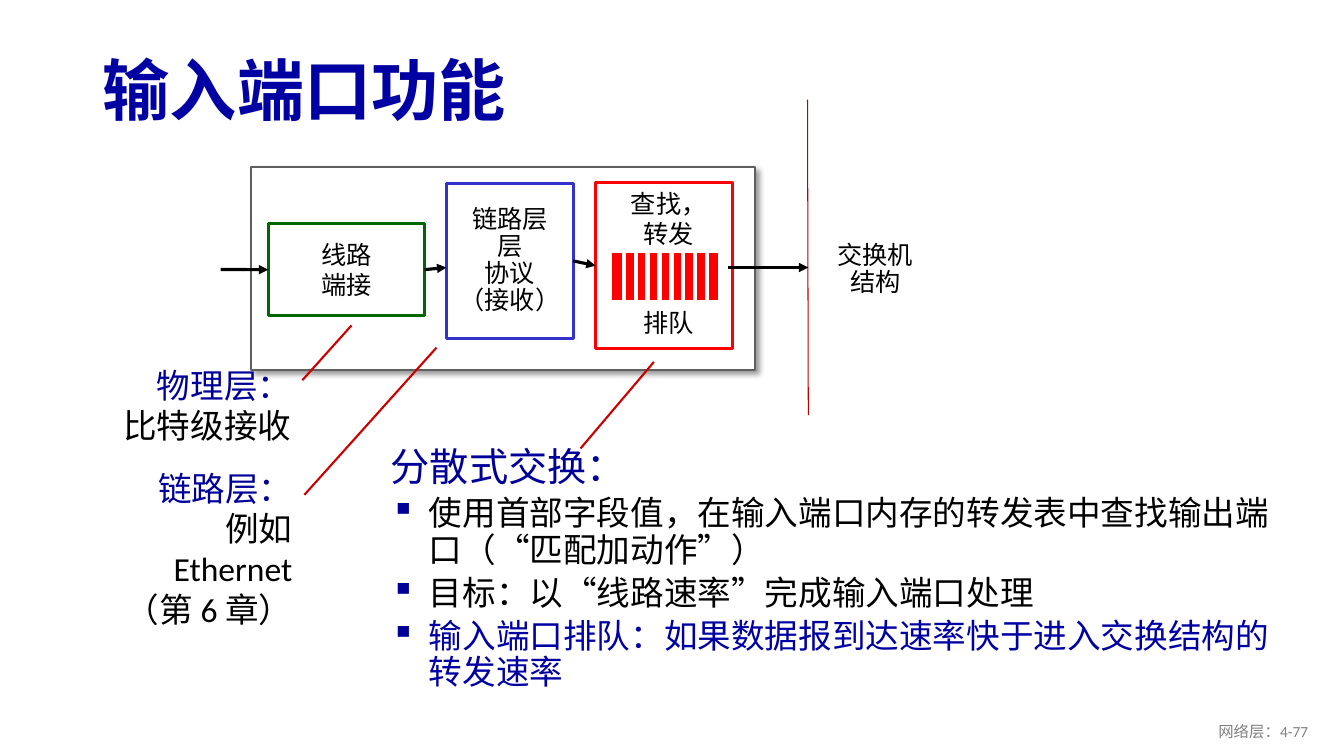
"""Build the slide on the functions of a router input port."""
from lxml import etree
from pptx import Presentation
from pptx import util as u
from pptx.dml import color
from pptx.enum import shapes, text
from pptx.oxml import ns

LEFT, MID, RIGHT = text.PP_ALIGN.LEFT, text.PP_ALIGN.CENTER, text.PP_ALIGN.RIGHT
TOP, CENTER = text.MSO_ANCHOR.TOP, text.MSO_ANCHOR.MIDDLE
BLACK, WHITE, NAVY, DEEP = "000000", "FFFFFF", "000099", "0000A3"
RED, BRICK = "FF0000", "CC0000"


def rgb(code):
    """Turn a hex string into a colour."""
    return color.RGBColor.from_string(code)


def add(parent, tag, **attrs):
    """Append a drawing element with its attributes."""
    node = etree.SubElement(parent, ns.qn(tag))
    for key, value in attrs.items():
        node.set(key, str(value))
    return node


def write(shape, lines, size=18, font="Arial", tint=BLACK, bold=False,
          align=MID, anchor=CENTER, wrap=False, space=None):
    """Fill a shape with lines, each a string or (string, own format)."""
    frame = shape.text_frame
    frame.word_wrap = wrap
    frame.vertical_anchor = anchor
    for i, line in enumerate(lines):
        words, own = (line, {}) if isinstance(line, str) else line
        para = frame.paragraphs[0] if i == 0 else frame.add_paragraph()
        para.alignment = align
        if space:
            para.line_spacing = space
        if "before" in own:
            para.space_before = u.Pt(own["before"])
        if own.get("bullet"):
            props = para._p.get_or_add_pPr()
            props.set("marL", str(u.Cm(0.96)))
            props.set("indent", str(u.Cm(-0.96)))
            add(add(props, "a:buClr"), "a:srgbClr", val=NAVY)
            add(props, "a:buChar", char="▪")
        run = para.add_run()
        run.text = words
        run.font.name = font
        run.font.size = u.Pt(own.get("size", size))
        run.font.bold = bold
        run.font.color.rgb = rgb(own.get("tint", tint))


def label(slide, x, y, w, h, lines, **form):
    """Add a text box holding lines."""
    spot = slide.shapes.add_textbox(u.Cm(x), u.Cm(y), u.Cm(w), u.Cm(h))
    write(spot, lines, **form)


def box(slide, x, y, w, h, fill=None, edge=None, width=2.25):
    """Add a flat rectangle."""
    shape = slide.shapes.add_shape(shapes.MSO_SHAPE.RECTANGLE,
                                   u.Cm(x), u.Cm(y), u.Cm(w), u.Cm(h))
    shape.shadow.inherit = False
    if fill:
        shape.fill.solid()
        shape.fill.fore_color.rgb = rgb(fill)
    else:
        shape.fill.background()
    if edge:
        shape.line.color.rgb = rgb(edge)
        shape.line.width = u.Pt(width)
    else:
        shape.line.fill.background()
    return shape


def shade(shape):
    """Cast a soft shadow to the lower right."""
    effects = shape._element.spPr.find(ns.qn("a:effectLst"))
    cast = add(effects, "a:outerShdw", blurRad=u.Pt(4), dist=u.Pt(3),
               dir=45 * 60000, algn="tl", rotWithShape=0)
    add(add(cast, "a:srgbClr", val=BLACK), "a:alpha", val=40000)


def rule(slide, x1, y1, x2, y2, tint=BRICK, width=1.5):
    """Add a straight line."""
    line = slide.shapes.add_connector(shapes.MSO_CONNECTOR.STRAIGHT,
                                      u.Cm(x1), u.Cm(y1), u.Cm(x2), u.Cm(y2))
    line.line.color.rgb = rgb(tint)
    line.line.width = u.Pt(width)
    add(line._element.spPr, "a:effectLst")
    return line


def arrow(slide, x1, y1, x2, y2, start=None, end=None):
    """Add an arrow, joined to the boxes given at its ends."""
    line = rule(slide, x1, y1, x2, y2, BLACK, 2.25)
    add(line.line._get_or_add_ln(), "a:tailEnd", type="triangle")
    if start:
        line.begin_connect(start, 3)
    if end:
        line.end_connect(end, 1)


def queue(slide):
    """Draw the red buffer cut into cells by white bars."""
    box(slide, 15.37, 6.32, 2.77, 1.3, RED, WHITE, 3)
    for i in range(8):
        x = 15.72 + 0.3 * i
        rule(slide, x, 6.35, x, 7.6, WHITE, 3)


def port(slide):
    """Draw the input port and its path to the fabric."""
    shade(box(slide, 6.32, 4.22, 12.7, 5.1, WHITE, "5F5F5F", 1.5))
    rule(slide, 20.35, 2.51, 20.37, 10.46, "C00000", 0.75)
    fabric = box(slide, 20.6, 5.64, 2.92, 2.31, WHITE)
    write(fabric, ["交换机", "结构"], space=0.9)
    phys = box(slide, 6.76, 5.64, 3.94, 2.31, WHITE, "006600")
    write(phys, ["线路", "端接"])
    link = box(slide, 11.25, 4.62, 3.2, 3.91, edge="3333CC")
    write(link, ["链路层", "层", "协议", "（接收）"], space=0.9)
    label(slide, 15.11, 4.62, 3.48, 4.06,
          ["查找，", "转发", ("排队", {"before": 42})], anchor=TOP)
    queue(slide)
    look = box(slide, 15.01, 4.6, 3.45, 4.19, edge=RED)
    arrow(slide, 5.56, 6.79, 6.76, 6.79, end=phys)
    arrow(slide, 10.7, 6.79, 11.25, 6.74, start=phys)
    arrow(slide, 14.45, 6.6, 15.01, 6.6, link, look)
    arrow(slide, 18.34, 6.74, 20.37, 6.74)


def notes(slide):
    """Add the callouts and the text that explains each stage."""
    side = dict(size=24, font="Calibri", align=RIGHT, anchor=TOP, wrap=True)
    head = {"tint": NAVY}
    label(slide, 0.71, 9.07, 6.88, 2.31,
          [("物理层：", head), "比特级接收"], **side)
    label(slide, 2.41, 11.66, 5.21, 3.33,
          [("链路层：", head), "例如 Ethernet", "（第 6 章）"], **side)
    item = {"bullet": True, "before": 5}
    label(slide, 9.6, 11.15, 22.76, 7.42, [
        ("分散式交换：", {"size": 28, "tint": NAVY}),
        ("使用首部字段值，在输入端口内存的转发表中查找输出端口（“匹配加动作”）", item),
        ("目标：以“线路速率”完成输入端口处理", item),
        ("输入端口排队：如果数据报到达速率快于进入交换结构的转发速率",
         {**item, "tint": DEEP}),
    ], **{**side, "align": LEFT, "space": 0.9})
    for ends in ((7.62, 9.58, 8.86, 8.2), (7.67, 12.47, 11, 8.76),
                 (14.63, 11.3, 16.48, 9.12)):
        rule(slide, *ends)


def main():
    """Build and save the slide."""
    deck = Presentation()
    deck.slide_width, deck.slide_height = u.Cm(33.87), u.Cm(19.05)
    slide = deck.slides.add_slide(deck.slide_layouts[6])
    label(slide, 2.34, 1.12, 29.21, 2.49, ["输入端口功能"], size=48,
          font="Calibri", tint=DEEP, bold=True, align=LEFT, wrap=True, space=0.9)
    port(slide)
    notes(slide)
    label(slide, 25.6, 17.91, 7.62, 1.02, ["网络层：4-77"], size=11,
          font="Calibri", tint="808080", align=RIGHT, wrap=True)
    deck.save("out.pptx")


if __name__ == "__main__":
    main()
